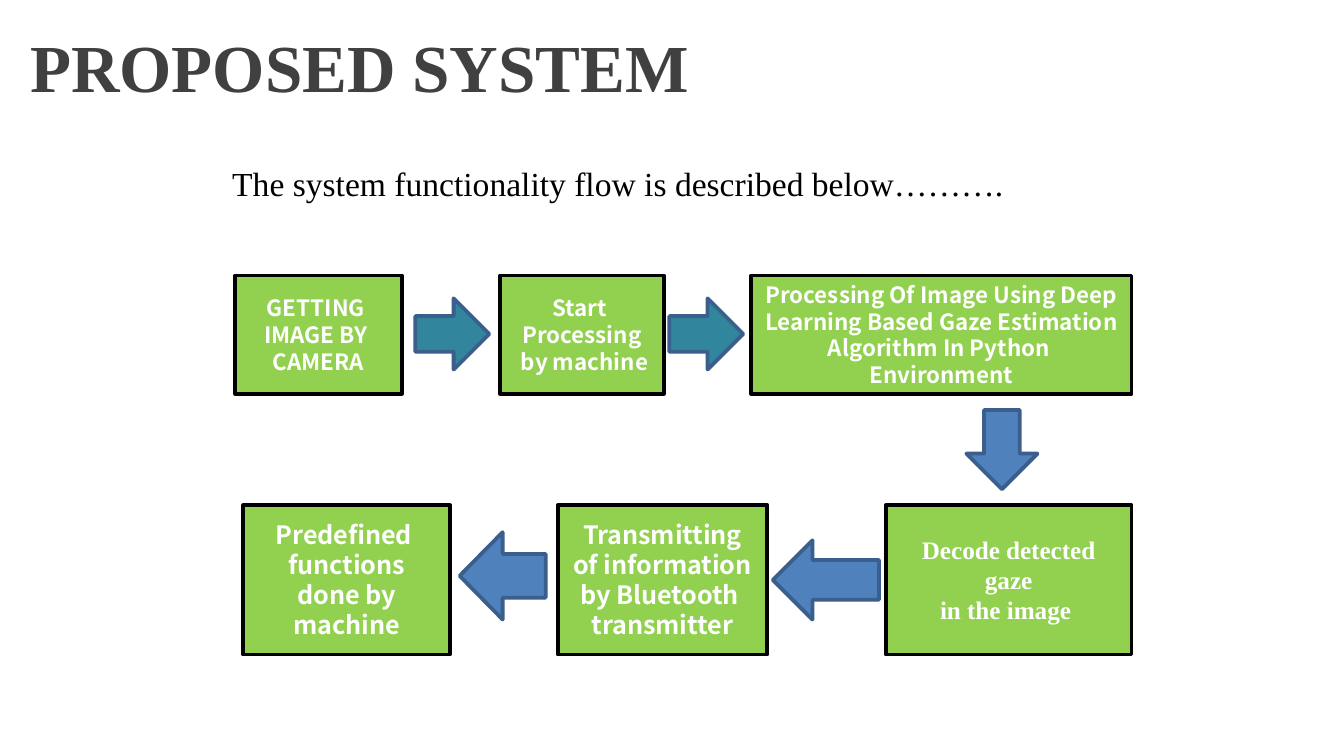
from pptx import Presentation
from pptx.dml.color import RGBColor
from pptx.enum.shapes import MSO_SHAPE as Shape
from pptx.enum.text import MSO_ANCHOR as Anchor, PP_ALIGN as Align
from pptx.util import Inches, Pt

SLIDE_WIDTH = 10
SLIDE_HEIGHT = SLIDE_WIDTH * 9 / 16
SERIF = "Times New Roman"
SANS = "Noto Sans CJK KR"
GREEN, TEAL, BLUE = "92D050", "31859C", "4F81BD"
BLACK, WHITE, GREY, ARROW_LINE = "000000", "FFFFFF", "404040", "3A5F8C"
LINE_PITCH = 1.19
TOP_ROW, BOTTOM_ROW = (2.05, 0.88), (3.76, 1.11)

# left, width, (top, height), font, size, paragraphs
STEPS = [
    (1.75, 1.24, TOP_ROW, SANS, 12, ["GETTING ", "IMAGE BY ", "CAMERA"]),
    (3.72, 1.22, TOP_ROW, SANS, 12, ["Start ", "Processing", " by machine"]),
    (5.59, 2.83, TOP_ROW, SANS, 12,
     ["Processing Of Image Using Deep Learning Based Gaze Estimation "
      "Algorithm In Python ", "Environment"]),
    (6.59, 1.83, BOTTOM_ROW, SERIF, 13.5,
     ["Decode detected", " gaze ", "in the image "]),
    (4.15, 1.56, BOTTOM_ROW, SANS, 13.5,
     ["Transmitting of information by Bluetooth ", "transmitter"]),
    (1.81, 1.54, BOTTOM_ROW, SANS, 13.5,
     ["Predefined ", "functions done by machine"]),
]

# kind, left, top, width, height, fill
ARROWS = [
    (Shape.RIGHT_ARROW, 3.09, 2.22, 0.55, 0.53, TEAL),
    (Shape.RIGHT_ARROW, 4.98, 2.22, 0.55, 0.53, TEAL),
    (Shape.DOWN_ARROW, 7.19, 3.05, 0.53, 0.59, BLUE),
    (Shape.LEFT_ARROW, 5.75, 4.02, 0.79, 0.59, BLUE),
    (Shape.LEFT_ARROW, 3.42, 3.96, 0.64, 0.65, BLUE),
]


def color(hex_value):
    return RGBColor.from_string(hex_value)


def add_run(paragraph, text, font, size, hex_value, bold=False):
    run = paragraph.add_run()
    run.text = text
    run.font.name = font
    run.font.size = Pt(size)
    run.font.bold = bold
    run.font.color.rgb = color(hex_value)


def add_block(slide, kind, left, top, width, height, fill, line):
    shape = slide.shapes.add_shape(
        kind, Inches(left), Inches(top), Inches(width), Inches(height))
    shape.shadow.inherit = False
    shape.fill.solid()
    shape.fill.fore_color.rgb = color(fill)
    shape.line.color.rgb = color(line)
    shape.line.width = Pt(2)
    return shape


def add_step(slide, left, width, row, font, size, lines):
    top, height = row
    box = add_block(slide, Shape.RECTANGLE, left, top, width, height, GREEN, BLACK)
    frame = box.text_frame
    frame.word_wrap = True
    frame.vertical_anchor = Anchor.MIDDLE
    for index, text in enumerate(lines):
        paragraph = frame.add_paragraph() if index else frame.paragraphs[0]
        paragraph.alignment = Align.CENTER
        paragraph.line_spacing = Pt(size * LINE_PITCH)
        add_run(paragraph, text, font, size, WHITE, bold=True)


def set_title(slide, text):
    title = slide.shapes.title
    title.left, title.top = Inches(0), Inches(0)
    title.width, title.height = Inches(SLIDE_WIDTH), Inches(0.97)
    title.text_frame.vertical_anchor = Anchor.MIDDLE
    paragraph = title.text_frame.paragraphs[0]
    paragraph.alignment = Align.LEFT
    add_run(paragraph, text, SERIF, 36, GREY, bold=True)


def add_intro(slide, text):
    box = slide.shapes.add_textbox(
        Inches(1.63), Inches(1.16), Inches(6.03), Inches(0.4))
    box.text_frame.word_wrap = True
    add_run(box.text_frame.paragraphs[0], text, SERIF, 18, BLACK)


def main():
    presentation = Presentation()
    presentation.slide_width = Inches(SLIDE_WIDTH)
    presentation.slide_height = Inches(SLIDE_HEIGHT)
    title_only = presentation.slide_layouts[5]
    slide = presentation.slides.add_slide(title_only)
    set_title(slide, " PROPOSED SYSTEM")
    add_intro(slide, "The system functionality flow is described below……….")
    for step in STEPS:
        add_step(slide, *step)
    for arrow in ARROWS:
        add_block(slide, *arrow, ARROW_LINE)
    presentation.save("out.pptx")


if __name__ == "__main__":
    main()
